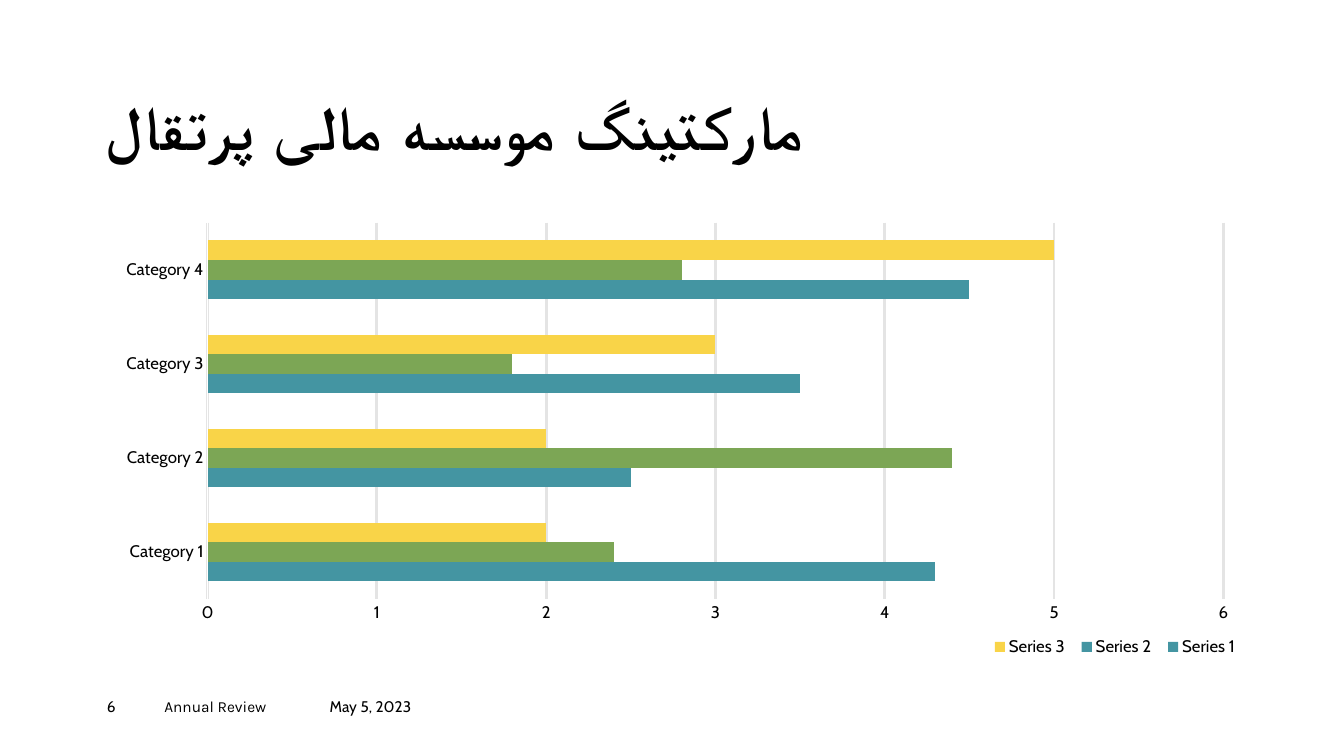
from lxml.etree import SubElement
from pptx import Presentation
from pptx.chart.data import CategoryChartData
from pptx.dml.color import RGBColor
from pptx.enum.chart import XL_CHART_TYPE, XL_LEGEND_POSITION, XL_TICK_MARK
from pptx.enum.text import MSO_ANCHOR, MSO_AUTO_SIZE, PP_ALIGN
from pptx.oxml.ns import qn
from pptx.util import Inches, Pt

BLACK, WHITE, GRID = "000000", "FFFFFF", "E4E4E4"
TEAL, GREEN, YELLOW = "4495A2", "7CA655", "F9D448"
CATEGORIES = [f"Category {n}" for n in range(1, 5)]
SERIES = [
    ("Series 1", (4.3, 2.5, 3.5, 4.5), TEAL, TEAL),
    ("Series 2", (2.4, 4.4, 1.8, 2.8), TEAL, GREEN),
    ("Series 3", (2, 2, 3, 5), YELLOW, YELLOW),
]


def color(value):
    return RGBColor.from_string(value)


def paint(fill, value):
    fill.solid()
    fill.fore_color.rgb = color(value)


def set_font(font, name, size):
    font.name = name
    font.size = Pt(size)
    font.color.rgb = color(BLACK)


def write(sp, text, name, size, anchor=MSO_ANCHOR.TOP):
    tf = sp.text_frame
    tf.word_wrap = True
    tf.auto_size = MSO_AUTO_SIZE.NONE
    tf.vertical_anchor = anchor
    tf.margin_left = tf.margin_right = tf.margin_top = tf.margin_bottom = 0
    p = tf.paragraphs[0]
    p.alignment = PP_ALIGN.LEFT
    r = p.add_run()
    r.text = text
    set_font(r.font, name, size)
    return p, r


def add_title(s, x, y, w, h):
    sp = s.shapes.title
    sp.left, sp.top, sp.width, sp.height = map(Inches, (x, y, w, h))
    p, r = write(sp, "مارکتینگ موسسه مالی پرتقال", "Karla", 44, MSO_ANCHOR.BOTTOM)
    p.line_spacing = 0.9
    r.font.bold = True
    r.font._element.set("spc", "100")


def set_layout(element, x, y, w, h, inner=False):
    layout = element.get_or_add_layout() if hasattr(element, "get_or_add_layout") else element.find(qn("c:layout"))
    for child in list(layout):
        layout.remove(child)
    manual = SubElement(layout, qn("c:manualLayout"))
    values = [("xMode", "edge"), ("yMode", "edge"), ("x", x), ("y", y), ("w", w), ("h", h)]
    if inner:
        values.insert(0, ("layoutTarget", "inner"))
    for tag, value in values:
        SubElement(manual, qn(f"c:{tag}")).set("val", str(value))


def style_axes(chart):
    for axis in (chart.category_axis, chart.value_axis):
        axis.major_tick_mark = axis.minor_tick_mark = XL_TICK_MARK.NONE
        set_font(axis.tick_labels.font, "Cabin", 12)
    line = chart.category_axis.format.line
    paint(line.fill, WHITE)
    line.width = Pt(0.75)
    axis = chart.value_axis
    axis.minimum_scale, axis.maximum_scale, axis.major_unit = 0, 6, 1
    axis.format.line.fill.background()
    axis.has_major_gridlines = True
    grid = axis.major_gridlines.format.line
    paint(grid.fill, GRID)
    grid.width = Pt(2)


def add_bar_chart(s, x, y, w, h):
    data = CategoryChartData(number_format="General")
    data.categories = CATEGORIES
    for name, values, _, _ in SERIES:
        data.add_series(name, values)
    chart = s.shapes.add_chart(
        XL_CHART_TYPE.BAR_CLUSTERED, *map(Inches, (x, y, w, h)), data
    ).chart
    chart.has_title = False
    set_font(chart.font, "Cabin", 10)
    style_axes(chart)
    plot = chart.plots[0]
    plot.gap_width, plot.overlap = 182, 0
    plot.vary_by_categories = False
    for series, (_, values, key, bar) in zip(plot.series, SERIES):
        series.invert_if_negative = False
        paint(series.format.fill, key)
        if bar != key:
            for i in range(len(values)):
                paint(series.points[i].format.fill, bar)
    chart.has_legend = True
    legend = chart.legend
    legend.position = XL_LEGEND_POSITION.BOTTOM
    legend.include_in_layout = False
    set_font(legend.font, "Cabin", 12)
    set_layout(legend._element, 0.77, 0.92, 0.23, 0.07)
    plot_area = chart._chartSpace.chart.plotArea
    if plot_area.find(qn("c:layout")) is None:
        plot_area.insert(0, plot_area.makeelement(qn("c:layout")))
    set_layout(plot_area, 0.09, 0.02, 0.89, 0.83, inner=True)


def add_footer(s, x, y, h):
    for text, font, w in (("6", "Cabin", 0.57), ("Annual Review", "Karla", 1.64), ("May 5, 2023", "Cabin", 1.44)):
        sp = s.shapes.add_textbox(*map(Inches, (x, y, w, h)))
        write(sp, text, font, 11)
        x += w


def main():
    prs = Presentation()
    prs.slide_width, prs.slide_height = Inches(13.33), Inches(7.5)
    s = prs.slides.add_slide(prs.slide_layouts[5])
    paint(s.background.fill, WHITE)
    add_title(s, 1.05, 0.96, 8.84, 0.67)
    add_bar_chart(s, 1.04, 2.12, 11.32, 4.5)
    add_footer(s, 1.06, 6.92, 0.27)
    prs.save("out.pptx")


if __name__ == "__main__":
    main()
